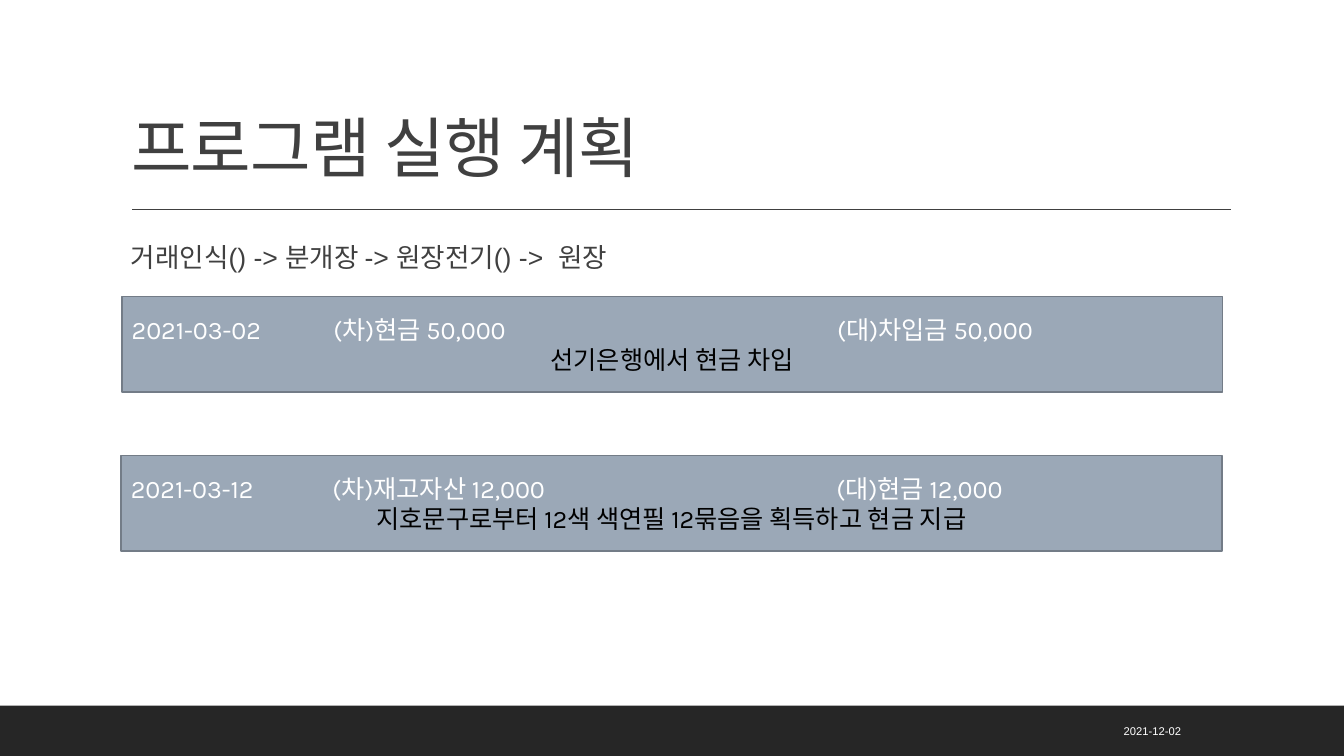
from dataclasses import dataclass

from lxml.etree import SubElement
from pptx import Presentation
from pptx.dml.color import RGBColor
from pptx.enum.shapes import MSO_CONNECTOR, MSO_SHAPE
from pptx.enum.text import MSO_ANCHOR as Anchor, MSO_AUTO_SIZE, PP_ALIGN as Align
from pptx.oxml.ns import qn
from pptx.util import Cm, Pt


@dataclass(frozen=True)
class Theme:
    font: str = "Arial"
    entry_font: str = "Karla"
    dark: str = "404040"
    footer: str = "262626"
    box: str = "9BA8B7"
    box_line: str = "737C87"
    white: str = "FFFFFF"
    black: str = "000000"
    title_size: float = 47
    body_size: float = 19
    entry_size: float = 18
    date_size: float = 8


class SlideBuilder:
    def __init__(self, prs, theme):
        self.theme = theme
        self.s = prs.slides.add_slide(prs.slide_layouts[1])

    def format(self, p, size, color, font=None, align=Align.LEFT):
        p.alignment = align
        for r in p.runs:
            r.font.name = font or self.theme.font
            r.font.size = Pt(size)
            r.font.color.rgb = RGBColor.from_string(color)

    def place(self, sp, x, y, w, h):
        sp.left, sp.top, sp.width, sp.height = Cm(x), Cm(y), Cm(w), Cm(h)

    def frame(self, sp, text, anchor):
        tf = sp.text_frame
        tf.text = text
        tf.word_wrap = True
        tf.auto_size = MSO_AUTO_SIZE.NONE
        tf.vertical_anchor = anchor
        return tf

    def title(self, text, *box):
        sp = self.s.shapes.title
        self.place(sp, *box)
        p = self.frame(sp, text, Anchor.BOTTOM).paragraphs[0]
        p.line_spacing = 0.9
        self.format(p, self.theme.title_size, self.theme.dark)
        p.runs[0].font._element.set("spc", "-50")

    def body(self, text, *box):
        sp = self.s.placeholders[1]
        self.place(sp, *box)
        tf = self.frame(sp, text, Anchor.TOP)
        tf.margin_left = tf.margin_right = 0
        p = tf.paragraphs[0]
        p.line_spacing = 1.1
        p.space_before, p.space_after = Pt(12), Pt(2)
        self.format(p, self.theme.body_size, self.theme.dark)
        pPr = p._p.get_or_add_pPr()
        pPr.set("marL", str(Cm(0.25)))
        pPr.set("indent", "0")
        SubElement(pPr, qn("a:buNone"))

    def rect(self, x, y, w, h, fill, line=None):
        sp = self.s.shapes.add_shape(MSO_SHAPE.RECTANGLE, Cm(x), Cm(y), Cm(w), Cm(h))
        sp.shadow.inherit = False
        sp.fill.solid()
        sp.fill.fore_color.rgb = RGBColor.from_string(fill)
        if line:
            sp.line.color.rgb = RGBColor.from_string(line)
            sp.line.width = Pt(1.25)
        else:
            sp.line.fill.background()
        return sp

    def rule(self, x1, x2, y):
        c = self.s.shapes.add_connector(
            MSO_CONNECTOR.STRAIGHT, Cm(x1), Cm(y), Cm(x2), Cm(y))
        c.line.color.rgb = RGBColor.from_string(self.theme.dark)
        c.line.width = Pt(1)
        SubElement(c._element.spPr, qn("a:effectLst"))

    def journal_entry(self, x, y, posting, note):
        """Box with a tabbed debit and credit line above a centred note."""
        t = self.theme
        sp = self.rect(x, y, 27.74, 2.41, t.box, t.box_line)
        tf = self.frame(sp, f"{posting}\n{note}", Anchor.MIDDLE)
        first, second = tf.paragraphs
        self.format(first, t.entry_size, t.white, t.entry_font, Align.JUSTIFY)
        self.format(second, t.entry_size, t.black, t.entry_font, Align.CENTER)
        first._p.get_or_add_pPr().set("defTabSz", str(Cm(2.54)))

    def date(self, text, *box):
        sp = self.s.shapes.add_textbox(*map(Cm, box))
        p = self.frame(sp, text, Anchor.MIDDLE).paragraphs[0]
        self.format(p, self.theme.date_size, self.theme.white, align=Align.RIGHT)


def main():
    prs = Presentation()
    prs.slide_width, prs.slide_height = Cm(33.87), Cm(19.05)
    theme = Theme()
    b = SlideBuilder(prs, theme)

    b.rect(0, 17.78, 33.87, 1.27, theme.footer)
    b.rule(3.33, 31.01, 5.28)
    b.title("프로그램 실행 계획", 3.05, 0.79, 27.94, 4.04)
    b.body("거래인식() -> 분개장 -> 원장전기() ->  원장", 3.05, 5.87, 27.94, 10.44)
    b.date("2021-12-02", 22.83, 17.91, 7.19, 1.02)
    b.journal_entry(3.07, 7.47,
                    "2021-03-02 \t(차)현금 50,000 \t\t\t\t(대)차입금 50,000 ",
                    "선기은행에서 현금 차입")
    b.journal_entry(3.05, 11.48,
                    "2021-03-12 \t(차)재고자산 12,000\t\t\t(대)현금 12,000",
                    "지호문구로부터 12색 색연필 12묶음을 획득하고 현금 지급")
    prs.save("out.pptx")


if __name__ == "__main__":
    main()
